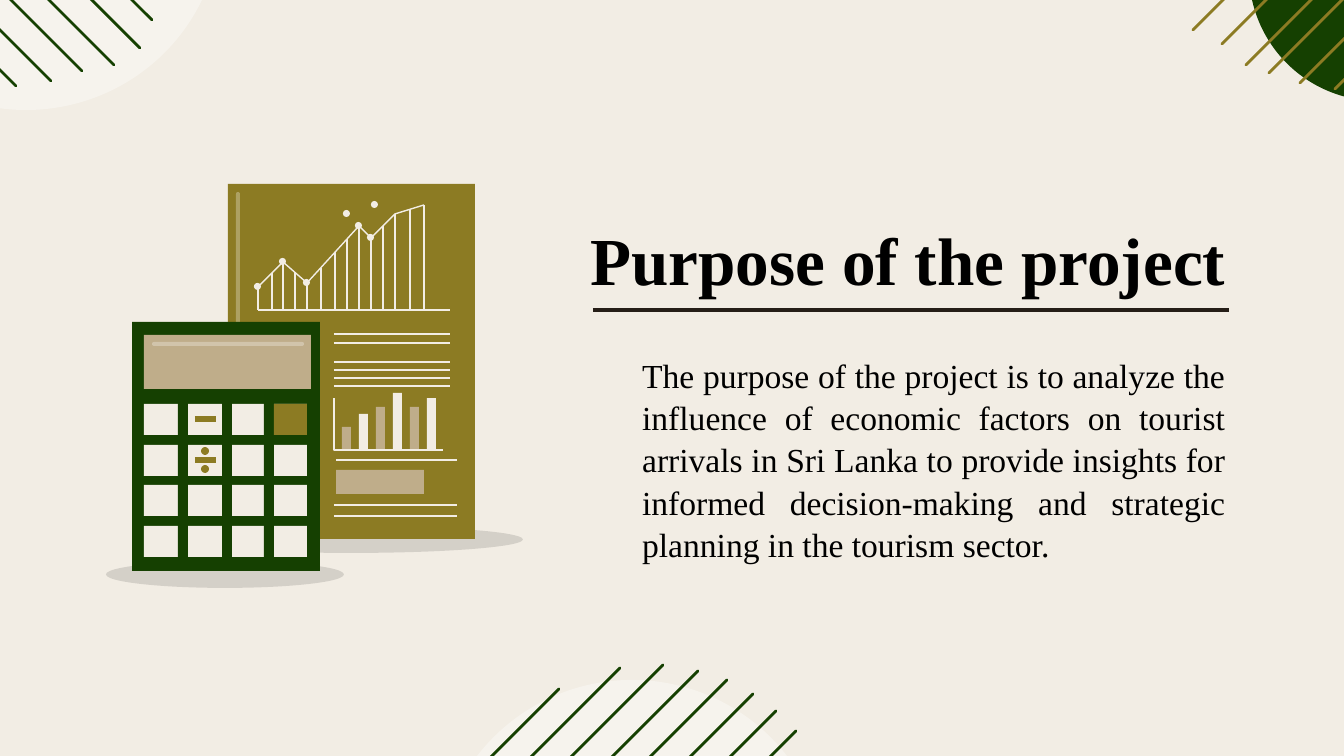
"""Build the slide on the purpose of the project."""
from typing import NamedTuple

import lxml.etree
import pptx
import pptx.dml.color
import pptx.enum.shapes
import pptx.enum.text
import pptx.oxml.ns
import pptx.util

SCALE = 914400 / 134.4
GREEN, GOLD, TAN = "154001", "8C7B23", "BFAD8A"
CREAM, WHITE, BLACK, DARK = "F2EDE4", "FFFFFF", "000000", "261E17"
KIND = pptx.enum.shapes.MSO_SHAPE
ALIGN = pptx.enum.text.PP_ALIGN
ANCHOR = pptx.enum.text.MSO_ANCHOR
FONT = "Times New Roman"


class Box(NamedTuple):
    left: int
    top: int
    width: int
    height: int


class Point(NamedTuple):
    x: int
    y: int


class Stroke(NamedTuple):
    tip: Point
    run: int


class Fan(NamedTuple):
    disc: Box
    fill: str
    alpha: int
    ink: str
    way: Point
    strokes: list[Stroke]


class Rule(NamedTuple):
    left: int
    right: int
    y: int


FANS = [
    Fan(Box(1249, -157, 258, 258), GREEN, 100, GOLD, Point(1, -1), [
        Stroke(Point(1193, 30), 274), Stroke(Point(1222, 44), 267),
        Stroke(Point(1246, 65), 262), Stroke(Point(1269, 73), 250),
        Stroke(Point(1300, 83), 230), Stroke(Point(1335, 89), 200)]),
    Fan(Box(-169, -277, 390, 387), WHITE, 36, GREEN, Point(-1, -1), [
        Stroke(Point(152, 20), 268), Stroke(Point(140, 48), 277),
        Stroke(Point(114, 65), 268), Stroke(Point(82, 71), 250),
        Stroke(Point(51, 81), 230), Stroke(Point(16, 86), 200)]),
    Fan(Box(437, 680, 390, 387), WHITE, 36, GREEN, Point(-1, 1), [
        Stroke(Point(796, 731), 268), Stroke(Point(776, 711), 277),
        Stroke(Point(753, 694), 268), Stroke(Point(727, 680), 250),
        Stroke(Point(698, 671), 230), Stroke(Point(663, 665), 200),
        Stroke(Point(620, 668), 155), Stroke(Point(559, 689), 72)]),
]
TREND = [Point(258, 287), Point(283, 262), Point(307, 283), Point(359, 226),
         Point(371, 238), Point(395, 214), Point(424, 205)]
STEMS = [258, 272, 283, 295, 307, 321, 335, 347, 359, 371, 383, 395, 410, 424]
DOTS = TREND[:5] + [Point(347, 214), Point(375, 205)]
RULES = [Rule(334, 450, y) for y in (334, 343, 362, 370, 378, 386)] + [
    Rule(336, 457, 460), Rule(334, 457, 505), Rule(334, 457, 516)]
BARS = [427, 414, 407, 393, 407, 398]
BASE, FLOOR = 310, 450
BODY = ("The purpose of the project is to analyze the influence of economic "
        "factors on tourist arrivals in Sri Lanka to provide insights for "
        "informed decision-making and strategic planning in the tourism sector.")


def px(size: float) -> int:
    """Turn px into EMU."""
    return round(size * SCALE)


def tint(code: str) -> pptx.dml.color.RGBColor:
    """Turn a hex string into a colour."""
    return pptx.dml.color.RGBColor.from_string(code)


def block(slide, kind, box: Box, fill: str, alpha: int = 100):
    """Draw a filled shape with no outline."""
    shape = slide.shapes.add_shape(kind, *map(px, box))
    shape.shadow.inherit = False
    shape.line.fill.background()
    shape.fill.solid()
    shape.fill.fore_color.rgb = tint(fill)
    if alpha < 100:
        code = shape._element.spPr.find(".//" + pptx.oxml.ns.qn("a:srgbClr"))
        lxml.etree.SubElement(
            code, pptx.oxml.ns.qn("a:alpha"), val=str(alpha * 1000))
    return shape


def strip(slide, box: Box) -> None:
    """Draw a pale highlight with round ends."""
    shape = block(slide, KIND.ROUNDED_RECTANGLE, box, WHITE, 29)
    shape.adjustments[0] = 0.5


def line(slide, start: Point, end: Point, ink: str, width: float = 0.75,
         cap: str = "flat") -> None:
    """Draw a straight line."""
    link = slide.shapes.add_connector(
        pptx.enum.shapes.MSO_CONNECTOR.STRAIGHT, *map(px, (*start, *end)))
    link.line.color.rgb = tint(ink)
    link.line.width = pptx.util.Pt(width)
    link.line._get_or_add_ln().set("cap", cap)
    lxml.etree.SubElement(
        link._element.spPr, pptx.oxml.ns.qn("a:effectLst"))


def trace(slide, points: list[Point], ink: str) -> None:
    """Draw an open outline through the points."""
    pen = slide.shapes.build_freeform(*points[0], scale=SCALE)
    pen.add_line_segments(points[1:], close=False)
    shape = pen.convert_to_shape()
    shape.shadow.inherit = False
    shape.fill.background()
    shape.line.color.rgb = tint(ink)
    shape.line.width = pptx.util.Pt(0.75)


def write(shape, text: str, *, box: Box, size: int, align, anchor,
          bold: bool = False, space: float = 1.0) -> None:
    """Place a text shape and fill it with formatted text."""
    shape.left, shape.top, shape.width, shape.height = map(px, box)
    frame = shape.text_frame
    frame.word_wrap = True
    frame.auto_size = pptx.enum.text.MSO_AUTO_SIZE.NONE
    frame.vertical_anchor = anchor
    frame.margin_left = frame.margin_right = pptx.util.Inches(0.1)
    frame.margin_top = frame.margin_bottom = pptx.util.Inches(0.1)
    para = frame.paragraphs[0]
    para.alignment, para.line_spacing = align, space
    run = para.add_run()
    run.text = text
    run.font.name, run.font.size = FONT, pptx.util.Pt(size)
    run.font.bold, run.font.color.rgb = bold, tint(BLACK)


def height(x: int) -> int:
    """Find the y of the trend at x."""
    for a, b in zip(TREND, TREND[1:]):
        if a.x <= x <= b.x:
            return round(a.y + (b.y - a.y) * (x - a.x) / (b.x - a.x))
    return BASE


def fan(slide, item: Fan) -> None:
    """Draw a disc crossed by slanted strokes."""
    block(slide, KIND.OVAL, item.disc, item.fill, item.alpha)
    for tip, run in item.strokes:
        end = Point(tip.x + item.way.x * run, tip.y + item.way.y * run)
        line(slide, tip, end, item.ink, 1.5, "rnd")


def report(slide) -> None:
    """Draw the sheet with its trend, rules and bars."""
    block(slide, KIND.OVAL, Box(179, 526, 344, 27), BLACK, 12)
    block(slide, KIND.RECTANGLE, Box(228, 184, 247, 355), GOLD)
    strip(slide, Box(236, 192, 4, 152))
    trace(slide, TREND, CREAM)
    for x in STEMS:
        line(slide, Point(x, height(x)), Point(x, BASE), CREAM)
    for dot in DOTS:
        block(slide, KIND.OVAL, Box(dot.x - 4, dot.y - 4, 7, 7), CREAM)
    for rule in [Rule(258, 450, BASE)] + RULES:
        line(slide, Point(rule.left, rule.y), Point(rule.right, rule.y), CREAM)
    for i, top in enumerate(BARS):
        block(slide, KIND.RECTANGLE, Box(342 + 17 * i, top, 9, FLOOR - top),
              CREAM if i % 2 else TAN)
    trace(slide, [Point(334, 398), Point(334, FLOOR), Point(443, FLOOR)], CREAM)
    block(slide, KIND.RECTANGLE, Box(336, 470, 88, 24), TAN)


def counter(slide) -> None:
    """Draw the calculator with its screen and keys."""
    block(slide, KIND.OVAL, Box(106, 561, 238, 27), BLACK, 12)
    block(slide, KIND.RECTANGLE, Box(132, 322, 188, 249), GREEN)
    block(slide, KIND.RECTANGLE, Box(144, 335, 167, 54), TAN)
    strip(slide, Box(152, 342, 152, 4))
    for top in (404, 445, 485, 526):
        block(slide, KIND.RECTANGLE, Box(144, top, 163, 31), CREAM)
    for left in (178, 222, 264):
        block(slide, KIND.RECTANGLE, Box(left, 398, 10, 166), GREEN)
    block(slide, KIND.RECTANGLE, Box(274, 404, 33, 31), GOLD)
    for y in (419, 460):
        line(slide, Point(195, y), Point(216, y), GOLD, 2.85)
    for top in (447, 465):
        block(slide, KIND.OVAL, Box(201, top, 8, 8), GOLD)


def main() -> None:
    """Build and save the deck."""
    deck = pptx.Presentation()
    deck.slide_width, deck.slide_height = px(1344), px(756)
    slide = deck.slides.add_slide(deck.slide_layouts[5])
    slide.background.fill.solid()
    slide.background.fill.fore_color.rgb = tint(CREAM)
    for item in FANS:
        fan(slide, item)
    write(slide.shapes.title, "Purpose of the project", size=36, bold=True,
          box=Box(435, 200, 804, 118), align=ALIGN.RIGHT, anchor=ANCHOR.MIDDLE)
    write(slide.shapes.add_textbox(0, 0, 0, 0), BODY, size=18, space=1.05,
          box=Box(629, 339, 610, 241), align=ALIGN.JUSTIFY, anchor=ANCHOR.TOP)
    line(slide, Point(593, 310), Point(1229, 310), DARK, 2.25)
    report(slide)
    counter(slide)
    deck.save("out.pptx")


if __name__ == "__main__":
    main()
